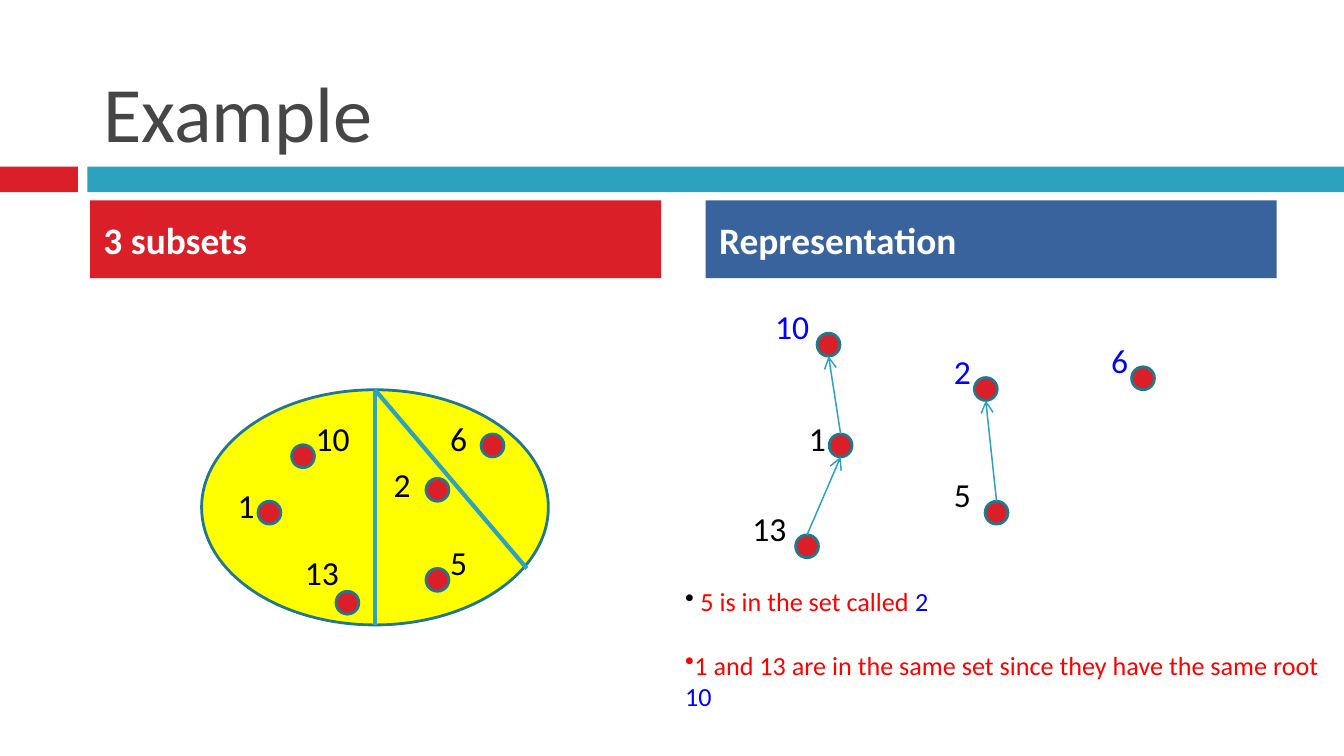
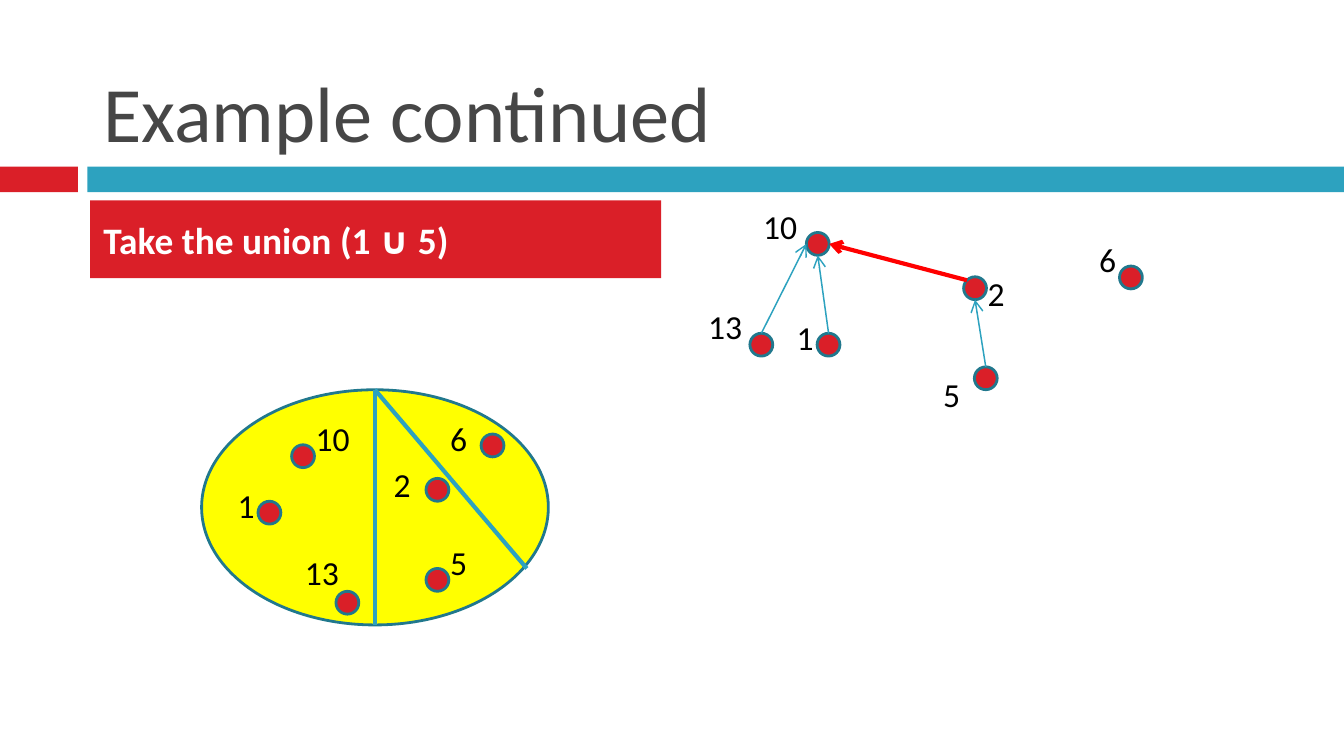
from dataclasses import dataclass

from lxml.etree import SubElement
from pptx import Presentation
from pptx.dml.color import RGBColor
from pptx.enum.shapes import MSO_CONNECTOR, MSO_SHAPE
from pptx.enum.text import MSO_ANCHOR, MSO_AUTO_SIZE, PP_ALIGN
from pptx.oxml.ns import qn
from pptx.util import Inches, Pt

FONT = "Calibri"
RED, TEAL, NAVY, OUTLINE = "DA1F28", "2DA2BF", "39639D", "21788D"
YELLOW, WHITE, BLACK, GREY = "FFFF00", "FFFFFF", "000000", "464646"
BLUE, BRIGHT_RED = "0000FF", "FF0000"
SLIDE_WIDTH = Inches(10)
SLIDE_HEIGHT = SLIDE_WIDTH * 9 // 16
DOT = 0.17
COMPARISON_LAYOUT = 4

# Where an arrow may touch a dot, as fractions of its size
SITES = {"top": (0.5, 0), "left": (0, 0.5), "right": (1, 0.5),
         "bottom": (0.5, 1), "top left": (0.15, 0.15)}


@dataclass(frozen=True)
class Box:
    left: float
    top: float
    width: float
    height: float

    def lengths(self) -> list:
        return [Inches(v) for v in (self.left, self.top, self.width, self.height)]


@dataclass(frozen=True)
class Node:
    label: str
    dot: tuple[float, float]
    label_at: tuple[float, float]
    color: str = BLACK

    def site(self, name: str) -> tuple[float, float]:
        across, down = SITES[name]
        return self.dot[0] + across * DOT, self.dot[1] + down * DOT


@dataclass(frozen=True)
class Edge:
    child: str
    parent: str
    start: str = "top"
    end: str = "bottom"
    color: str = TEAL
    weight: float = 0.79


@dataclass(frozen=True)
class Heading:
    placeholder: int
    text: str
    left: float
    fill: str


@dataclass(frozen=True)
class Example:
    title: str
    headings: list[Heading]
    nodes: list[Node]
    edges: list[Edge]
    notes: list[list[tuple[str, str]]]


TITLE_BOX = Box(0.67, 0.13, 8.92, 1.1)
BANDS = [(Box(0, 1.24, 0.58, 0.19), RED), (Box(0.65, 1.24, 9.35, 0.19), TEAL)]
UNIVERSE = Box(1.5, 2.9, 2.58, 1.75)
DIVIDER_TOP = (2.79, 2.9)
DIVIDER_ENDS = [(2.79, 4.65), (3.92, 4.23)]

MEMBERS = [
    Node("1", (1.92, 3.73), (1.67, 3.56)),
    Node("6", (3.58, 3.23), (3.25, 3.06)),
    Node("2", (3.17, 3.56), (2.83, 3.4)),
    Node("5", (3.17, 4.23), (3.25, 3.98)),
    Node("10", (2.17, 3.31), (2.25, 3.06)),
    Node("13", (2.5, 4.4), (2.17, 4.06)),
]

EXAMPLES = [
    Example(
        "Example",
        [Heading(1, "3 subsets", 0.67, RED),
         Heading(3, "Representation", 5.25, NAVY)],
        [Node("10", (6.08, 2.48), (5.67, 2.23), BLUE),
         Node("1", (6.17, 3.23), (5.92, 3.06)),
         Node("13", (5.92, 3.98), (5.5, 3.73)),
         Node("2", (7.25, 2.81), (7, 2.56), BLUE),
         Node("5", (7.33, 3.73), (7, 3.48)),
         Node("6", (8.42, 2.73), (8.17, 2.48), BLUE)],
        [Edge("1", "10"), Edge("13", "1"), Edge("5", "2")],
        [[(" ", BLACK), ("5 is in the set called ", BRIGHT_RED), ("2", BLUE)],
         [("1 and 13 are in the same set since they have the same root ", BRIGHT_RED),
          ("10", BLUE)]],
    ),
    Example(
        "Example continued",
        [Heading(1, "Take the union (1 ∪ 5)", 0.67, RED)],
        [Node("10", (6, 1.73), (5.58, 1.48)),
         Node("1", (6.08, 2.48), (5.83, 2.31)),
         Node("13", (5.58, 2.48), (5.17, 2.23)),
         Node("2", (7.17, 2.06), (7.25, 1.98)),
         Node("5", (7.25, 2.73), (6.92, 2.73)),
         Node("6", (8.33, 1.98), (8.08, 1.73))],
        [Edge("1", "10"), Edge("13", "10", end="left"), Edge("5", "2"),
         Edge("2", "10", "top left", "right", BRIGHT_RED, 2.25)],
        [],
    ),
]


def rgb(color: str) -> RGBColor:
    return RGBColor.from_string(color)


def write(paragraph, text: str, *, size: float = 18, color: str = BLACK,
          bold: bool = False) -> None:
    run = paragraph.add_run()
    run.text = text
    run.font.name = FONT
    run.font.size = Pt(size)
    run.font.bold = bold
    run.font.color.rgb = rgb(color)


def add_filled(slide, kind: MSO_SHAPE, box: Box, fill: str, outline: str = ""):
    shape = slide.shapes.add_shape(kind, *box.lengths())
    shape.shadow.inherit = False
    shape.fill.solid()
    shape.fill.fore_color.rgb = rgb(fill)
    if outline:
        shape.line.color.rgb = rgb(outline)
        shape.line.width = Pt(1.5)
    else:
        shape.line.fill.background()
    return shape


def add_line(slide, start: tuple, end: tuple, color: str, weight: float,
             arrow: bool = False) -> None:
    points = [Inches(v) for v in (*start, *end)]
    line = slide.shapes.add_connector(MSO_CONNECTOR.STRAIGHT, *points)
    line.line.color.rgb = rgb(color)
    line.line.width = Pt(weight)
    properties = line.element.spPr
    if arrow:
        SubElement(properties.get_or_add_ln(), qn("a:tailEnd"), type="arrow")
    SubElement(properties, qn("a:effectLst"))


def add_text_frame(slide, box: Box):
    frame = slide.shapes.add_textbox(*box.lengths()).text_frame
    frame.word_wrap = True
    frame.auto_size = MSO_AUTO_SIZE.SHAPE_TO_FIT_TEXT
    return frame


def fill_placeholder(placeholder, box: Box, anchor: MSO_ANCHOR, text: str, **style):
    placeholder.left, placeholder.top, placeholder.width, placeholder.height = box.lengths()
    frame = placeholder.text_frame
    frame.word_wrap = True
    frame.auto_size = MSO_AUTO_SIZE.NONE
    frame.vertical_anchor = anchor
    paragraph = frame.paragraphs[0]
    paragraph.alignment = PP_ALIGN.LEFT
    write(paragraph, text, **style)
    return paragraph


def add_heading(slide, heading: Heading) -> None:
    placeholder = slide.placeholders[heading.placeholder]
    paragraph = fill_placeholder(placeholder, Box(heading.left, 1.49, 4.25, 0.58),
                                 MSO_ANCHOR.MIDDLE, heading.text,
                                 size=20, color=WHITE, bold=True)
    paragraph.space_before = Pt(7)
    placeholder.fill.solid()
    placeholder.fill.fore_color.rgb = rgb(heading.fill)


def add_nodes(slide, nodes: list[Node], narrow: bool = False) -> None:
    for node in nodes:
        add_filled(slide, MSO_SHAPE.OVAL, Box(*node.dot, DOT, DOT), RED, OUTLINE)
        width = 0.25 if narrow and len(node.label) == 1 else 0.5
        frame = add_text_frame(slide, Box(*node.label_at, width, 0.4))
        write(frame.paragraphs[0], node.label, color=node.color)


def add_subsets(slide) -> None:
    """Draw the set of all members, split into its three subsets."""
    add_filled(slide, MSO_SHAPE.OVAL, UNIVERSE, YELLOW, OUTLINE)
    for end in DIVIDER_ENDS:
        add_line(slide, DIVIDER_TOP, end, TEAL, 2.25)
    add_nodes(slide, MEMBERS, narrow=True)


def add_trees(slide, nodes: list[Node], edges: list[Edge]) -> None:
    add_nodes(slide, nodes)
    by_label = {node.label: node for node in nodes}
    for edge in edges:
        add_line(slide, by_label[edge.child].site(edge.start),
                 by_label[edge.parent].site(edge.end),
                 edge.color, edge.weight, arrow=True)


def add_notes(slide, notes: list[list[tuple[str, str]]]) -> None:
    frame = add_text_frame(slide, Box(5, 4.31, 5, 1.04))
    for index, runs in enumerate(notes):
        paragraph = frame.add_paragraph() if index else frame.paragraphs[0]
        if index:
            paragraph.space_before = Pt(17)
        SubElement(paragraph._p.get_or_add_pPr(), qn("a:buChar"), char="•")
        for text, color in runs:
            write(paragraph, text, size=14, color=color)


def add_master_bands(presentation, slide) -> None:
    """Draw the bands on a slide, then move them to the master all slides share."""
    for box, fill in BANDS:
        band = add_filled(slide, MSO_SHAPE.RECTANGLE, box, fill)
        presentation.slide_master.shapes.element.append(band.element)


def add_example(slide, example: Example) -> None:
    fill_placeholder(slide.shapes.title, TITLE_BOX, MSO_ANCHOR.BOTTOM,
                     example.title, size=42, color=GREY)
    for heading in example.headings:
        add_heading(slide, heading)
    for placeholder in list(slide.placeholders):
        if not placeholder.text_frame.text:
            placeholder.element.getparent().remove(placeholder.element)
    add_subsets(slide)
    add_trees(slide, example.nodes, example.edges)
    if example.notes:
        add_notes(slide, example.notes)


def main() -> None:
    presentation = Presentation()
    presentation.slide_width = SLIDE_WIDTH
    presentation.slide_height = SLIDE_HEIGHT
    layout = presentation.slide_layouts[COMPARISON_LAYOUT]
    for index, example in enumerate(EXAMPLES):
        slide = presentation.slides.add_slide(layout)
        if index == 0:
            add_master_bands(presentation, slide)
        add_example(slide, example)
    presentation.save("out.pptx")


if __name__ == "__main__":
    main()
